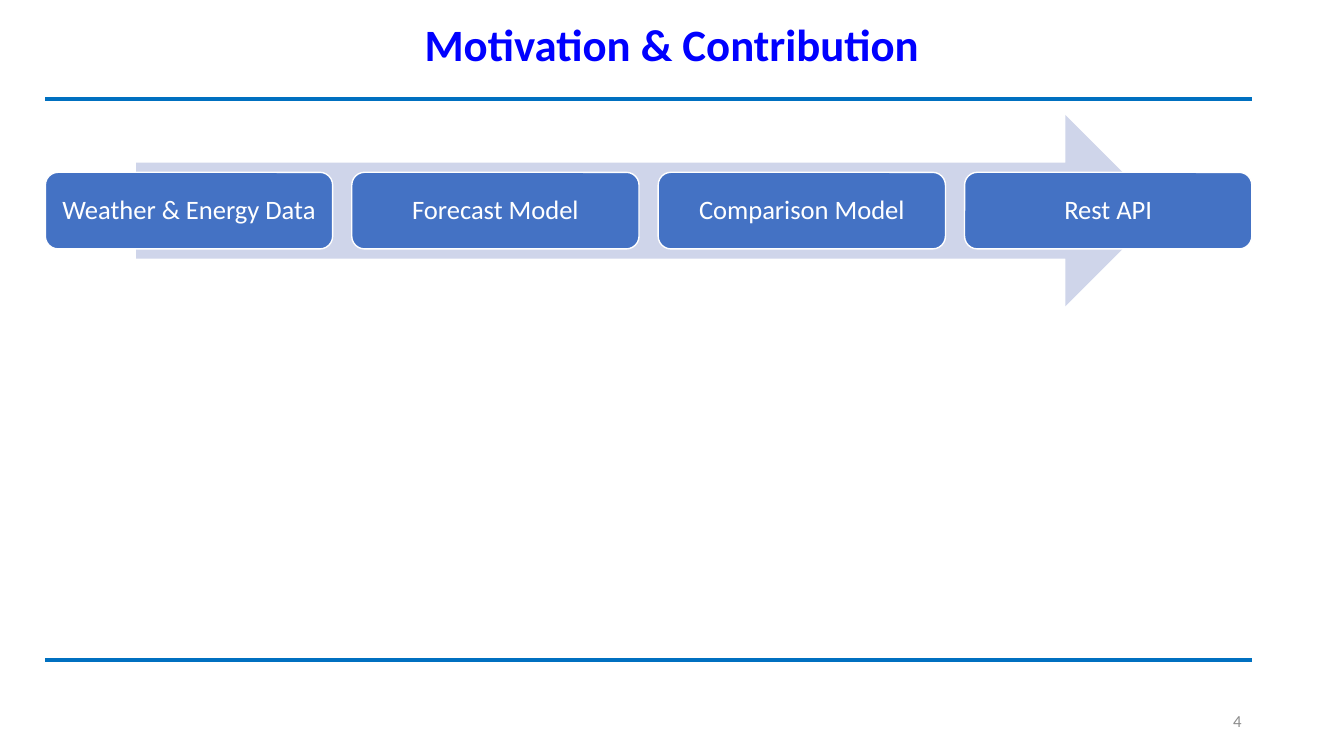
import pptx
import pptx.util
import pptx.dml.color
import pptx.enum.shapes
import pptx.enum.text
import pptx.oxml.ns
from lxml import etree

Pt = pptx.util.Pt
RGBColor = pptx.dml.color.RGBColor
MSO_SHAPE = pptx.enum.shapes.MSO_SHAPE
ALIGN = pptx.enum.text.PP_ALIGN

TITLE = "Motivation & Contribution"
STAGES = ["Weather & Energy Data", "Forecast Model", "Comparison Model", "Rest API"]
PAGE_NUMBER = "4"

TITLE_BLUE = RGBColor(0x00, 0x00, 0xFF)
RULE_BLUE = RGBColor(0x00, 0x70, 0xC0)
ARROW_TINT = RGBColor(0xCF, 0xD5, 0xEA)
STAGE_BLUE = RGBColor(0x44, 0x72, 0xC4)
WHITE = RGBColor(0xFF, 0xFF, 0xFF)
GREY = RGBColor(0x8C, 0x8C, 0x8C)

LEFT, RIGHT = 32.4, 894.2
RULE_TOPS = (70.6, 471.6)
STAGE_TOP, STAGE_WIDTH, STAGE_HEIGHT = 123.1, 205.2, 54.7
STAGE_STEP = (RIGHT - LEFT - STAGE_WIDTH) / (len(STAGES) - 1)


def write(shape, text, *, size, color, bold=False, align=ALIGN.CENTER, inset=7.2,
          line_spacing=1.0):
    frame = shape.text_frame
    frame.word_wrap = True
    frame.vertical_anchor = pptx.enum.text.MSO_ANCHOR.MIDDLE
    frame.margin_left = frame.margin_right = Pt(inset)
    paragraph = frame.paragraphs[0]
    paragraph.alignment = align
    paragraph.line_spacing = line_spacing
    run = paragraph.add_run()
    run.text = text
    run.font.name = "Calibri"
    run.font.size = Pt(size)
    run.font.bold = bold
    run.font.color.rgb = color


def add_block(slide, kind, left, top, width, height, fill, outline=None):
    block = slide.shapes.add_shape(kind, Pt(left), Pt(top), Pt(width), Pt(height))
    block.shadow.inherit = False
    block.fill.solid()
    block.fill.fore_color.rgb = fill
    if outline is None:
        block.line.fill.background()
    else:
        block.line.color.rgb = outline
        block.line.width = Pt(1)
    return block


def add_rule(slide, top):
    rule = slide.shapes.add_connector(
        pptx.enum.shapes.MSO_CONNECTOR.STRAIGHT, Pt(LEFT), Pt(top), Pt(RIGHT), Pt(top))
    rule.line.color.rgb = RULE_BLUE
    rule.line.width = Pt(3)
    etree.SubElement(rule.element.spPr, pptx.oxml.ns.qn("a:effectLst"))


def main():
    deck = pptx.Presentation()
    deck.slide_width, deck.slide_height = Pt(960), Pt(540)
    slide = deck.slides.add_slide(deck.slide_layouts[6])

    page = slide.shapes.add_textbox(Pt(678), Pt(500.4), Pt(216), Pt(28.8))
    write(page, PAGE_NUMBER, size=12, color=GREY, align=ALIGN.RIGHT)
    title = slide.shapes.add_textbox(Pt(75), Pt(2.9), Pt(810), Pt(56.9))
    write(title, TITLE, size=32, color=TITLE_BLUE, bold=True)

    for top in RULE_TOPS:
        add_rule(slide, top)

    add_block(slide, MSO_SHAPE.RIGHT_ARROW, 97.2, 82.1, 732.2, 136.8, ARROW_TINT)
    for index, stage in enumerate(STAGES):
        block = add_block(slide, MSO_SHAPE.ROUNDED_RECTANGLE, LEFT + index * STAGE_STEP,
                          STAGE_TOP, STAGE_WIDTH, STAGE_HEIGHT, STAGE_BLUE, outline=WHITE)
        write(block, stage, size=19, color=WHITE, inset=5.8, line_spacing=0.9)

    deck.save("out.pptx")


if __name__ == "__main__":
    main()
